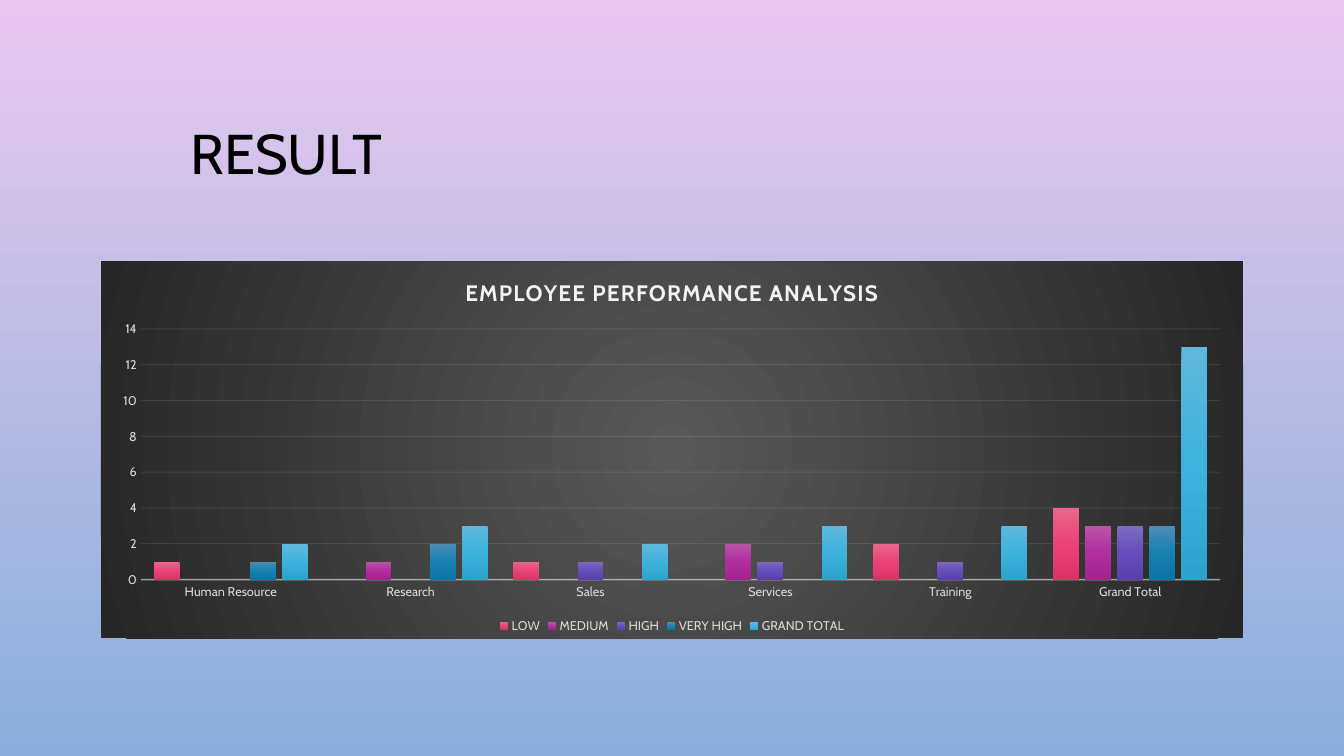
from lxml import etree
from pptx import Presentation
from pptx import util as u
from pptx.chart.data import CategoryChartData
from pptx.dml.color import RGBColor
from pptx.enum import chart as charts, text
from pptx.oxml import parse_xml
from pptx.oxml.ns import nsdecls, qn

WIDTH, HEIGHT = 13.33, 7.5

CATEGORIES = ["Human Resource", "Research", "Sales", "Services", "Training", "Grand Total"]
RATINGS = {
    "LOW": ([1, None, 1, None, 2, 4], ["E8668A", "EB4377", "D93366"]),
    "MEDIUM": ([None, 1, None, 2, None, 3], ["B756A6", "B22D9E", "A42390"]),
    "HIGH": ([None, None, 1, 1, 1, 3], ["7C6BBF", "664EBC", "5840AD"]),
    "VERY HIGH": ([1, 2, None, None, None, 3], ["4E8DB7", "1681B2", "0D75A5"]),
    "GRAND TOTAL": ([2, 3, 2, 3, 3, 13], ["61B8DC", "3CB2DD", "2DA2CD"]),
}


def color(value):
    return RGBColor.from_string(value)


def gradient(colors, radial=False):
    step = 100000 // (len(colors) - 1)
    stops = "".join(
        f'<a:gs pos="{index * step}"><a:srgbClr val="{value}"/></a:gs>'
        for index, value in enumerate(colors)
    )
    direction = (
        '<a:path path="circle"><a:fillToRect l="50000" t="50000" r="50000" b="50000"/></a:path>'
        if radial
        else '<a:lin ang="5400000" scaled="0"/>'
    )
    return parse_xml(f'<a:gradFill {nsdecls("a")}><a:gsLst>{stops}</a:gsLst>{direction}</a:gradFill>')


def format_font(font, size, value, name="Cabin", bold=False):
    font.size = u.Pt(size)
    font.color.rgb = color(value)
    font.name = name
    font.bold = bold


def write(frame, content, align=text.PP_ALIGN.CENTER, spacing=None, tracking=0, **style):
    paragraph = frame.paragraphs[0]
    paragraph.alignment = align
    if spacing:
        paragraph.line_spacing = spacing
    run = paragraph.add_run()
    run.text = content
    format_font(run.font, **style)
    if tracking:
        run.font._element.set("spc", str(tracking * 100))


def format_line(line, value, width, opacity):
    line.width = u.Pt(width)
    line.color.rgb = color(value)
    paint = line._get_or_add_ln().find(".//" + qn("a:srgbClr"))
    etree.SubElement(paint, qn("a:alpha"), val=str(opacity * 1000))


class ResultSlide:
    light, pale, dark = "F2F2F2", "D9D9D9", "000000"

    def __init__(self, presentation):
        self.presentation = presentation
        self.slide = presentation.slides.add_slide(presentation.slide_layouts[6])

    def box(self, left, top, width, height):
        across, down = self.presentation.slide_width, self.presentation.slide_height
        return [u.Emu(round(share * size)) for share, size in
                zip((left, top, width, height), (across, down, across, down))]

    def background(self, colors):
        fill = self.slide.background.fill
        fill.solid()
        solid = self.slide._element.find(".//" + qn("p:bgPr")).find(qn("a:solidFill"))
        solid.getparent().replace(solid, gradient(colors))

    def title(self, content, *shares):
        frame = self.slide.shapes.add_textbox(*self.box(*shares)).text_frame
        frame.word_wrap = True
        frame.vertical_anchor = text.MSO_ANCHOR.MIDDLE
        write(frame, content, spacing=0.9, size=40, value=self.dark)

    def column_chart(self, heading, categories, ratings, *shares):
        data = CategoryChartData()
        data.categories = categories
        for name, (values, _) in ratings.items():
            data.add_series(name, values)
        chart = self.slide.shapes.add_chart(
            charts.XL_CHART_TYPE.COLUMN_CLUSTERED, *self.box(*shares), data).chart
        format_font(chart.font, 10, self.dark)
        chart.has_title = True
        write(chart.chart_title.text_frame, heading, tracking=1, size=16, value=self.light, bold=True)
        chart.chart_title.include_in_layout = False
        chart.has_legend = True
        chart.legend.position = charts.XL_LEGEND_POSITION.BOTTOM
        chart.legend.include_in_layout = False
        format_font(chart.legend.font, 9, self.pale)
        self.style_axes(chart)
        self.style_columns(chart.plots[0], ratings)
        self.style_area(chart, ["595959", "262626"], x=0.035, y=0.18, w=0.945, h=0.665)

    def style_axes(self, chart):
        for axis in (chart.category_axis, chart.value_axis):
            axis.major_tick_mark = axis.minor_tick_mark = charts.XL_TICK_MARK.NONE
            format_font(axis.tick_labels.font, 9, self.pale)
        format_line(chart.category_axis.format.line, self.light, 1, 54)
        values = chart.value_axis
        values.format.line.fill.background()
        values.minimum_scale, values.maximum_scale, values.major_unit = 0, 14, 2
        format_line(values.major_gridlines.format.line, self.light, 0.75, 10)

    def style_columns(self, plot, ratings):
        plot.gap_width, plot.overlap = 100, -24
        plot.vary_by_categories = False
        for series, (_, colors) in zip(plot.series, ratings.values()):
            series.invert_if_negative = False
            series._element.get_or_add_spPr().insert(0, gradient(colors))

    def style_area(self, chart, colors, **layout):
        area = parse_xml(f'<c:spPr {nsdecls("c", "a")}><a:ln><a:noFill/></a:ln></c:spPr>')
        area.insert(0, gradient(colors, radial=True))
        root = chart._chartSpace
        root.find(qn("c:chart")).addnext(area)
        plot_area = root.find(".//" + qn("c:plotArea"))
        previous = plot_area.find(qn("c:layout"))
        if previous is not None:
            plot_area.remove(previous)
        shares = "".join(f'<c:{key} val="{share}"/>' for key, share in layout.items())
        plot_area.insert(0, parse_xml(
            f'<c:layout {nsdecls("c")}><c:manualLayout><c:layoutTarget val="inner"/>'
            f'<c:xMode val="edge"/><c:yMode val="edge"/>{shares}</c:manualLayout></c:layout>'))


def main():
    presentation = Presentation()
    presentation.slide_width, presentation.slide_height = u.Inches(WIDTH), u.Inches(HEIGHT)
    result = ResultSlide(presentation)
    result.background(["E9C8EF", "89AEDB"])
    margin = 1 / WIDTH
    result.title("RESULT", margin, 0.68 / HEIGHT, 3.68 / WIDTH, 1.75 / HEIGHT)
    result.column_chart("EMPLOYEE PERFORMANCE ANALYSIS", CATEGORIES, RATINGS,
                        margin, 2.59 / HEIGHT, 1 - 2 * margin, 3.74 / HEIGHT)
    presentation.save("out.pptx")


if __name__ == "__main__":
    main()
